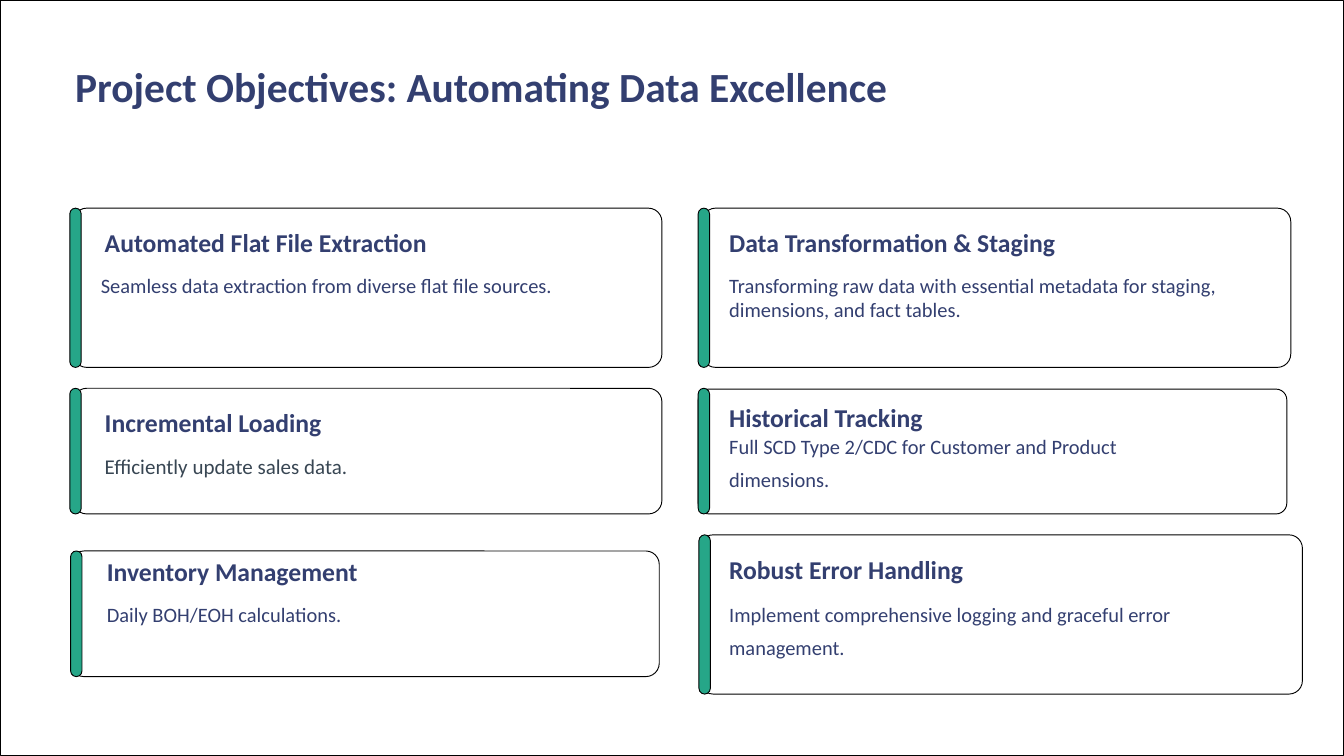
from dataclasses import dataclass

from pptx import Presentation
from pptx.dml.color import RGBColor
from pptx.enum.shapes import MSO_SHAPE as Shape
from pptx.util import Cm, Pt

NAVY = RGBColor(0x33, 0x3F, 0x70)
SLATE = RGBColor(0x38, 0x46, 0x53)
GREEN = RGBColor(0x26, 0xA6, 0x88)
WHITE = RGBColor(0xFF, 0xFF, 0xFF)
BLACK = RGBColor(0x00, 0x00, 0x00)

FONT = "Calibri"
SLIDE_WIDTH, SLIDE_HEIGHT = 50.8, 28.58
BAR_WIDTH = 0.43

# Column edges, row tops and card heights in cm
LEFT, RIGHT = 2.64, 26.39
ROW_1, ROW_2 = 7.87, 14.68
TALL, SHORT = 6.02, 4.75
CARD_WIDTH = 22.25


@dataclass
class Label:
    """Text with its box relative to the card, and its line spacing in points."""
    text: str
    box: tuple
    spacing: float
    size: float
    color: RGBColor = NAVY
    bold: bool = False


def heading(text, box, spacing):
    return Label(text, box, spacing, 27.5, bold=True)


def body(text, box, spacing, size=21.9, color=NAVY):
    return Label(text, box, spacing, size, color)


# Each card: box, panel offset, corner radius, labels
CARDS = [
    ((LEFT, ROW_1, CARD_WIDTH, TALL), (0.13, 0), 0.51, [
        heading("Automated Flat File Extraction", (1.32, 0.72, 20.14, 2.64), 33),
        body("Seamless data extraction from diverse flat file sources.",
             (1.17, 2.44, 20.14, 2.11), 26.2)]),
    ((RIGHT, ROW_1, CARD_WIDTH, TALL), (0.15, 0), 0.51, [
        heading("Data Transformation & Staging", (1.17, 0.69, 15.85, 1.42), 33),
        body("Transforming raw data with essential metadata for staging, "
             "dimensions, and fact tables.", (1.17, 2.44, 20.14, 2.64), 26.2)]),
    ((LEFT, ROW_2, CARD_WIDTH, SHORT), (0.13, 0), 0.51, [
        heading("Incremental Loading", (1.32, 0.66, 12.75, 1.45), 34.4),
        body("Efficiently update sales data.",
             (1.32, 2.46, 20.14, 1.4), 27, 22.5, SLATE)]),
    ((RIGHT, ROW_2, CARD_WIDTH, SHORT), (0, 0.03), 0.41, [
        heading("Historical Tracking", (1.17, 0.46, 10.74, 1.32), 34.4),
        body("Full SCD Type 2/CDC for Customer and Product dimensions.",
             (1.17, 1.4, 18.44, 2.67), 35.6)]),
    ((LEFT + 0.03, 20.83, CARD_WIDTH, SHORT), (0, 0), 0.51, [
        heading("Inventory Management", (1.37, 0.2, 17.53, 2.44), 33),
        body("Daily BOH/EOH calculations.", (1.37, 1.95, 14.43, 2.11), 26.2)]),
    ((RIGHT + 0.03, 20.22, 22.78, TALL), (0.03, 0), 0.51, [
        heading("Robust Error Handling", (1.14, 0.66, 13.61, 1.45), 34.4),
        body("Implement comprehensive logging and graceful error management.",
             (1.14, 2.21, 20.14, 2.9), 35.6)]),
]


def add_outlined(slide, kind, box, fill, radius=None):
    shape = slide.shapes.add_shape(kind, *map(Cm, box))
    shape.shadow.inherit = False
    shape.fill.solid()
    shape.fill.fore_color.rgb = fill
    shape.line.color.rgb = BLACK
    shape.line.width = Pt(1)
    if radius is not None:
        shape.adjustments[0] = radius / min(box[2:])


def add_label(slide, label, left=0, top=0):
    x, y, width, height = label.box
    text_box = slide.shapes.add_textbox(Cm(left + x), Cm(top + y), Cm(width), Cm(height))
    frame = text_box.text_frame
    frame.word_wrap = True
    frame.margin_left = frame.margin_top = frame.margin_right = frame.margin_bottom = 0
    paragraph = frame.paragraphs[0]
    paragraph.line_spacing = Pt(label.spacing)
    run = paragraph.add_run()
    run.text = label.text
    run.font.name = FONT
    run.font.size = Pt(label.size)
    run.font.bold = label.bold
    run.font.color.rgb = label.color


def add_card(slide, box, panel_offset, radius, labels):
    left, top, width, height = box
    dx, dy = panel_offset
    # White panel with the green bar over its left edge
    add_outlined(slide, Shape.ROUNDED_RECTANGLE,
                 (left + dx, top + dy, width, height - dy), WHITE, radius)
    add_outlined(slide, Shape.ROUNDED_RECTANGLE,
                 (left, top, BAR_WIDTH, height), GREEN, BAR_WIDTH / 2)
    for label in labels:
        add_label(slide, label, left, top)


def add_objectives_slide(presentation):
    slide = presentation.slides.add_slide(presentation.slide_layouts[6])
    # Framed background
    add_outlined(slide, Shape.RECTANGLE, (0, 0, SLIDE_WIDTH, SLIDE_HEIGHT), WHITE)
    # Title
    add_label(slide, Label("Project Objectives: Automating Data Excellence",
                           (2.84, 2.24, 45.29, 4.22), 55.6, 44.4, bold=True))
    # Objective cards
    for card in CARDS:
        add_card(slide, *card)


def main():
    presentation = Presentation()
    presentation.slide_width = Cm(SLIDE_WIDTH)
    presentation.slide_height = Cm(SLIDE_HEIGHT)
    add_objectives_slide(presentation)
    presentation.save("out.pptx")


if __name__ == "__main__":
    main()
